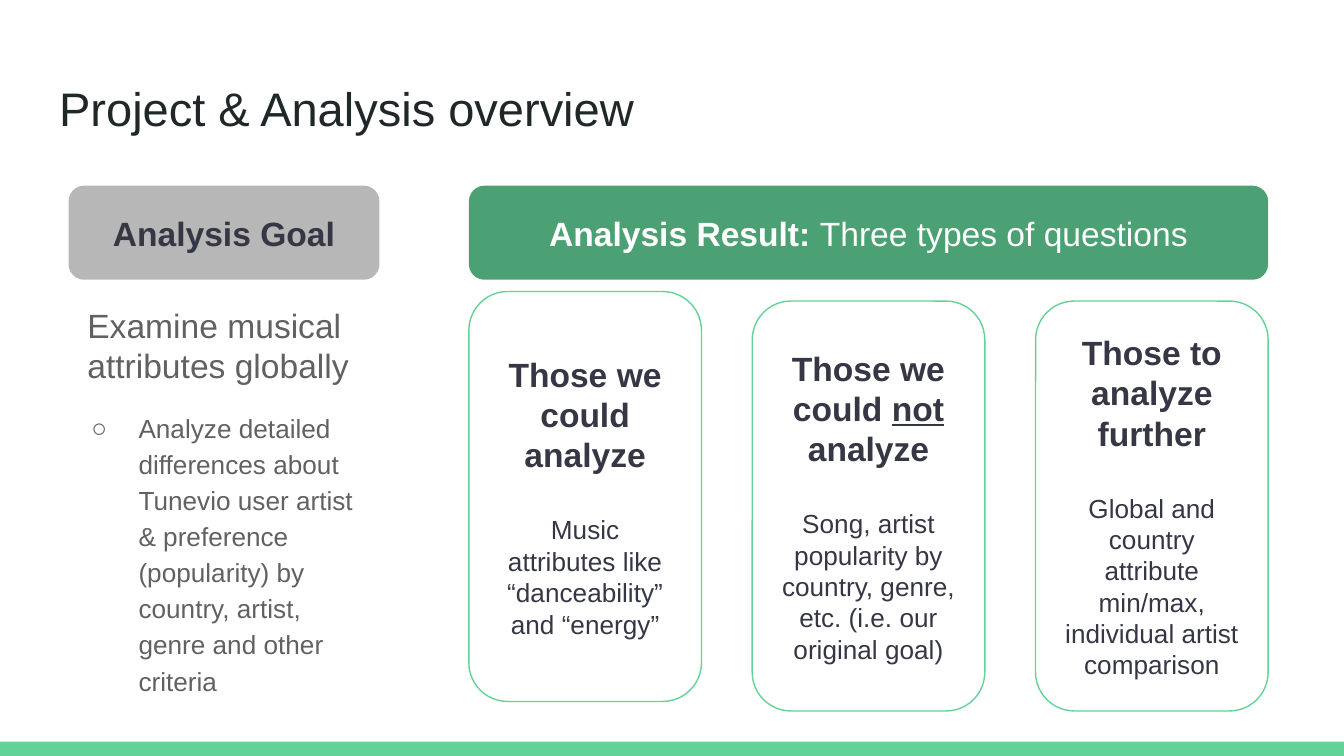
from lxml.etree import SubElement
from pptx import Presentation
from pptx.dml.color import RGBColor
from pptx.enum.shapes import MSO_SHAPE
from pptx.enum.text import MSO_ANCHOR, MSO_AUTO_SIZE, PP_ALIGN
from pptx.oxml.ns import qn
from pptx.util import Pt

INK = RGBColor(0x35, 0x37, 0x44)
TITLE_INK = RGBColor(0x20, 0x27, 0x29)
BODY_GRAY = RGBColor(0x61, 0x61, 0x61)
BOX_GRAY = RGBColor(0xB7, 0xB7, 0xB7)
GREEN = RGBColor(0x4B, 0xA1, 0x73)
MINT = RGBColor(0x63, 0xD2, 0x97)
WHITE = RGBColor(0xFF, 0xFF, 0xFF)

TITLE = "Project & Analysis overview"
GOAL_HEADER = [("Analysis Goal", "b")]
RESULT_HEADER = [("Analysis Result: ", "b"), ("Three types of questions", "")]
GOAL = "Examine musical attributes globally"
GOAL_DETAIL = ("Analyze detailed differences about Tunevio user artist & preference "
               "(popularity) by country, artist, genre and other criteria")
CARDS = [
    (156.2, [("Those we could analyze", "b")],
     "Music attributes like “danceability” and “energy”"),
    (161.3, [("Those we could ", "b"), ("not", "bu"), (" analyze", "b")],
     "Song, artist popularity by country, genre, etc. (i.e. our original goal)"),
    (161.3, [("Those to analyze further", "b")],
     "Global and country attribute min/max, individual artist comparison"),
]

SLIDE_WIDTH, SLIDE_HEIGHT = 720, 405
BAR_HEIGHT = 7.6
HEADER_TOP, HEADER_HEIGHT = 99.5, 50.4
GOAL_LEFT, GOAL_WIDTH = 36.7, 166.6
RESULT_LEFT, RESULT_WIDTH = 251.2, 428.2
CARD_WIDTH, CARD_HEIGHT = 124.6, 219.6
CARD_PITCH = (RESULT_WIDTH - CARD_WIDTH) / (len(CARDS) - 1)
INSET = 7.2


def place(shape, left, top, width, height):
    shape.left, shape.top = Pt(left), Pt(top)
    shape.width, shape.height = Pt(width), Pt(height)


def prepare_frame(shape, anchor):
    frame = shape.text_frame
    frame.word_wrap = True
    frame.auto_size = MSO_AUTO_SIZE.NONE
    frame.vertical_anchor = anchor
    frame.margin_left = frame.margin_right = Pt(INSET)
    frame.margin_top = frame.margin_bottom = Pt(INSET)
    return frame


def add_runs(paragraph, runs, size, color, alignment=PP_ALIGN.LEFT, before=0):
    paragraph.alignment = alignment
    paragraph.space_before = Pt(before)
    for text, style in runs:
        run = paragraph.add_run()
        run.text = text
        font = run.font
        font.name, font.size = "Arial", Pt(size)
        font.color.rgb = color
        font.bold = "b" in style
        font.underline = "u" in style


def add_box(slide, kind, bounds, fill, line=None):
    shape = slide.shapes.add_shape(kind, *map(Pt, bounds))
    shape.shadow.inherit = False
    shape.fill.solid()
    shape.fill.fore_color.rgb = fill
    if line is None:
        shape.line.fill.background()
    else:
        shape.line.color.rgb = line
        shape.line.width = Pt(0.75)
    return shape


def set_bullet(paragraph, margin, indent, character=None):
    properties = paragraph._p.get_or_add_pPr()
    properties.set("marL", str(Pt(margin)))
    properties.set("indent", str(Pt(indent)))
    if character is None:
        SubElement(properties, qn("a:buNone"))
    else:
        bullet_color = SubElement(properties, qn("a:buClr"))
        SubElement(bullet_color, qn("a:srgbClr")).set("val", str(BODY_GRAY))
        SubElement(properties, qn("a:buFont")).set("typeface", "Arial")
        SubElement(properties, qn("a:buChar")).set("char", character)


def add_goal_text(body):
    place(body, 39.6, 156.2, GOAL_WIDTH, 229.7)
    frame = prepare_frame(body, MSO_ANCHOR.TOP)
    goal = frame.paragraphs[0]
    set_bullet(goal, 0, 0)
    add_runs(goal, [(GOAL, "")], 18, BODY_GRAY)
    detail = frame.add_paragraph()
    detail.level = 1
    set_bullet(detail, 27.4, -25.2, "○")
    detail.line_spacing = 1.15
    add_runs(detail, [(GOAL_DETAIL, "")], 14, BODY_GRAY, before=12)


def add_header(slide, left, width, fill, runs, color):
    shape = add_box(slide, MSO_SHAPE.ROUNDED_RECTANGLE,
                    (left, HEADER_TOP, width, HEADER_HEIGHT), fill)
    frame = prepare_frame(shape, MSO_ANCHOR.MIDDLE)
    add_runs(frame.paragraphs[0], runs, 18, color, PP_ALIGN.CENTER)


def add_card(slide, left, top, heading, description):
    shape = add_box(slide, MSO_SHAPE.ROUNDED_RECTANGLE,
                    (left, top, CARD_WIDTH, CARD_HEIGHT), WHITE, MINT)
    frame = prepare_frame(shape, MSO_ANCHOR.MIDDLE)
    add_runs(frame.paragraphs[0], heading, 18, INK, PP_ALIGN.CENTER)
    add_runs(frame.add_paragraph(), [(description, "")], 14, INK, PP_ALIGN.CENTER, before=21)


def main():
    presentation = Presentation()
    presentation.slide_width, presentation.slide_height = Pt(SLIDE_WIDTH), Pt(SLIDE_HEIGHT)
    slide = presentation.slides.add_slide(presentation.slide_layouts[1])

    add_box(slide, MSO_SHAPE.RECTANGLE,
            (0, SLIDE_HEIGHT - BAR_HEIGHT, SLIDE_WIDTH, BAR_HEIGHT), MINT)

    title = slide.shapes.title
    place(title, 24.5, 35.3, 671, 45.4)
    title_frame = prepare_frame(title, MSO_ANCHOR.TOP)
    add_runs(title_frame.paragraphs[0], [(TITLE, "")], 25.2, TITLE_INK)

    add_header(slide, GOAL_LEFT, GOAL_WIDTH, BOX_GRAY, GOAL_HEADER, INK)
    add_goal_text(slide.placeholders[1])
    add_header(slide, RESULT_LEFT, RESULT_WIDTH, GREEN, RESULT_HEADER, WHITE)
    for index, (top, heading, description) in enumerate(CARDS):
        add_card(slide, RESULT_LEFT + index * CARD_PITCH, top, heading, description)

    presentation.save("out.pptx")


if __name__ == "__main__":
    main()
